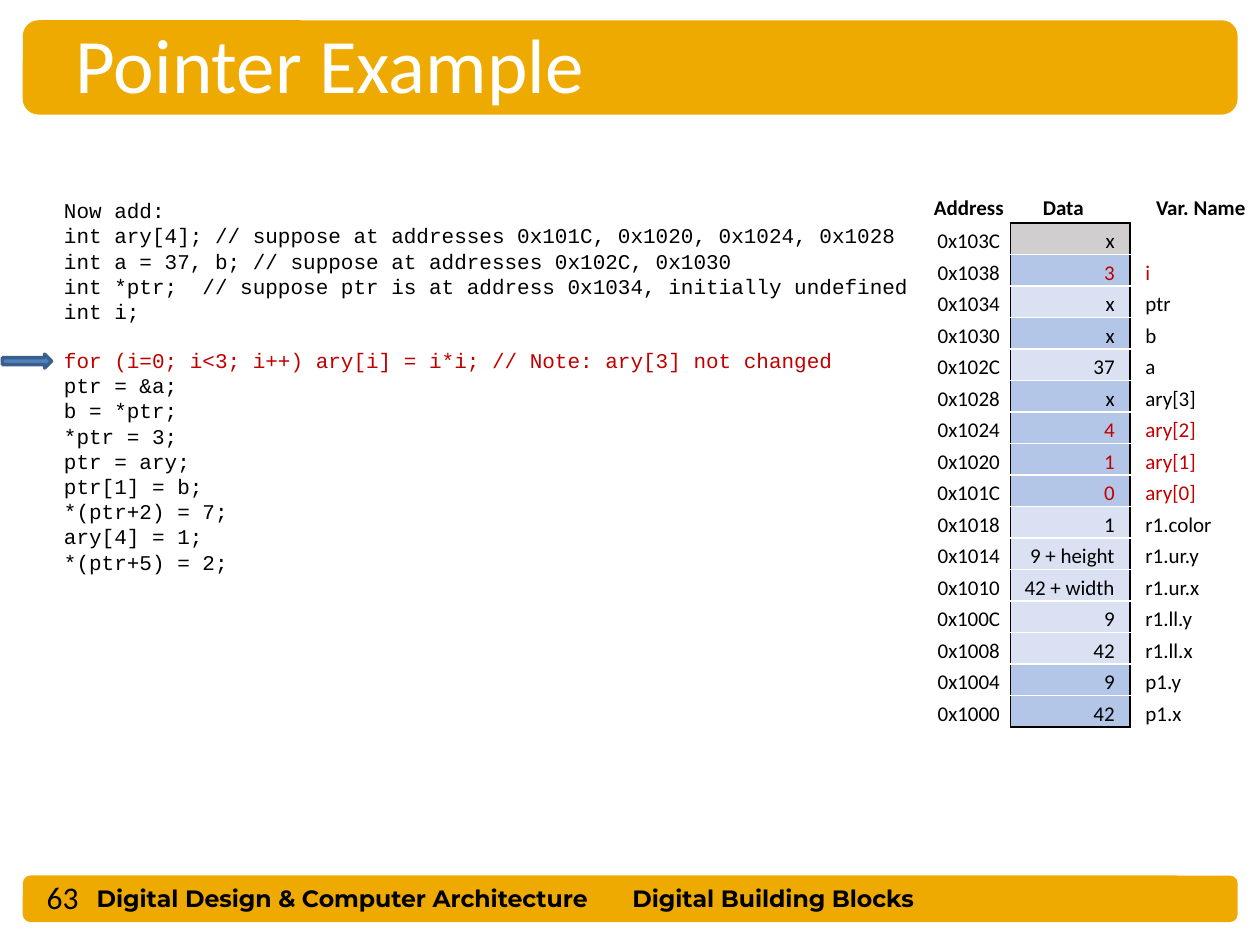
from lxml import etree
from pptx import Presentation
from pptx.dml.color import RGBColor
from pptx.enum.shapes import MSO_SHAPE
from pptx.enum.text import MSO_ANCHOR, PP_ALIGN
from pptx.oxml.ns import qn
from pptx.util import Cm, Pt

ROUNDED = MSO_SHAPE.ROUNDED_RECTANGLE
ARROW = MSO_SHAPE.RIGHT_ARROW
TOP, MIDDLE, BOTTOM = MSO_ANCHOR.TOP, MSO_ANCHOR.MIDDLE, MSO_ANCHOR.BOTTOM
LEFT, CENTER, RIGHT = PP_ALIGN.LEFT, PP_ALIGN.CENTER, PP_ALIGN.RIGHT

GOLD = RGBColor(0xEE, 0xAA, 0x00)
BLACK = RGBColor(0x00, 0x00, 0x00)
WHITE = RGBColor(0xFF, 0xFF, 0xFF)
RED = RGBColor(0xC0, 0x00, 0x00)
ARROW_FILL = RGBColor(0x4F, 0x81, 0xBD)
ARROW_LINE = RGBColor(0x3A, 0x5F, 0x8C)
GREY = RGBColor(0xD0, 0xCE, 0xCE)
BLUE = RGBColor(0xB4, 0xC6, 0xE7)
PALE = RGBColor(0xD9, 0xE1, 0xF2)

CODE_LINE_HEIGHT = 13.6
CODE = [
    ("Now add:", {}),
    ("int ary[4]; // suppose at addresses 0x101C, 0x1020, 0x1024, 0x1028", {}),
    ("int a = 37, b; // suppose at addresses 0x102C, 0x1030", {}),
    ("int *ptr;  // suppose ptr is at address 0x1034, initially undefined", {}),
    ("int i;", {}),
    ("for (i=0; i<3; i++) ary[i] = i*i; // Note: ary[3] not changed",
     {"color": RED, "space_before": CODE_LINE_HEIGHT}),
    ("ptr = &a;", {}),
    ("b = *ptr;", {}),
    ("*ptr = 3;", {}),
    ("ptr = ary;", {}),
    ("ptr[1] = b;", {}),
    ("*(ptr+2) = 7;", {}),
    ("ary[4] = 1;", {}),
    ("*(ptr+5) = 2;", {}),
]

TOP_ADDRESS = 0x103C
WORD_BYTES = 4
MEMORY = [
    ("x", "", GREY, BLACK),
    ("3", "i", BLUE, RED),
    ("x", "ptr", PALE, BLACK),
    ("x", "b", BLUE, BLACK),
    ("37", "a", PALE, BLACK),
    ("x", "ary[3]", BLUE, BLACK),
    ("4", "ary[2]", BLUE, RED),
    ("1", "ary[1]", BLUE, RED),
    ("0", "ary[0]", BLUE, RED),
    ("1", "r1.color", PALE, BLACK),
    ("9 + height", "r1.ur.y", PALE, BLACK),
    ("42 + width", "r1.ur.x", PALE, BLACK),
    ("9", "r1.ll.y", PALE, BLACK),
    ("42", "r1.ll.x", PALE, BLACK),
    ("9", "p1.y", BLUE, BLACK),
    ("42", "p1.x", BLUE, BLACK),
]
COLUMN_WIDTHS = [1.68, 2.13, 0.28, 0.28, 2.29]
DATA, SPACER = 1, 2


def write(paragraph, text, font="Calibri", size=12, color=BLACK, bold=False,
          align=LEFT, space_before=0):
    paragraph.alignment = align
    paragraph.space_before = Pt(space_before)
    run = paragraph.add_run()
    run.text = text
    run.font.name = font
    run.font.size = Pt(size)
    run.font.bold = bold
    run.font.color.rgb = color


def add_text(slide, box, lines, **style):
    shape = slide.shapes.add_textbox(*map(Cm, box))
    frame = shape.text_frame
    frame.word_wrap = True
    for index, (text, extra) in enumerate(lines):
        paragraph = frame.add_paragraph() if index else frame.paragraphs[0]
        write(paragraph, text, **{**style, **extra})


def add_filled_shape(slide, kind, box, fill):
    shape = slide.shapes.add_shape(kind, *map(Cm, box))
    shape.shadow.inherit = False
    shape.fill.solid()
    shape.fill.fore_color.rgb = fill
    shape.line.fill.background()
    return shape


def add_header(slide, box, text):
    left, top, width, height = box
    band = add_filled_shape(slide, ROUNDED, box, GOLD)
    title = slide.shapes.title
    title.element.addprevious(band.element)
    title.left, title.top = Cm(left + 0.81), Cm(top - 0.21)
    title.width, title.height = Cm(22.02), Cm(height + 0.23)
    title.text_frame.vertical_anchor = MIDDLE
    write(title.text_frame.paragraphs[0], text, size=44, color=WHITE)


def add_footer(slide, box, number, course, chapter):
    left, top, width, height = box
    add_filled_shape(slide, ROUNDED, box, GOLD)
    for offset, label_width, text in ((1.24, 11.28, course), (12.04, 7.47, chapter)):
        add_text(slide, (left + offset, top + 0.05, label_width, 0.84), [(text, {})],
                 font="Montserrat", size=13.5, bold=True)
    add_text(slide, (left + 0.23, top - 0.07, 2.08, 0.99), [(number, {})], size=18)


def add_code(slide, box):
    left, top, width, height = box
    add_text(slide, box, CODE, font="Courier New")
    arrow = add_filled_shape(slide, ARROW, (left - 0.99, top + 3.28, 0.99, 0.28), ARROW_FILL)
    arrow.line.color.rgb = ARROW_LINE
    arrow.line.width = Pt(2)


def set_borders(cell, sides):
    properties = cell._tc.get_or_add_tcPr()
    for side in "LRTB":
        line = etree.SubElement(properties, qn(f"a:ln{side}"), w=str(Pt(1)))
        if side in sides:
            fill = etree.SubElement(line, qn("a:solidFill"))
            etree.SubElement(fill, qn("a:srgbClr"), val=str(sides[side]))
        else:
            etree.SubElement(line, qn("a:noFill"))


def cell_borders(row, column, last_row):
    if row == 0:
        return {"B": BLACK} if column in (DATA, SPACER) else {}
    if column in (DATA, SPACER):
        return {"L" if column == DATA else "R": BLACK,
                "T": BLACK if row == 1 else WHITE,
                "B": BLACK if row == last_row else WHITE}
    return {DATA - 1: {"R": BLACK}, SPACER + 1: {"L": BLACK}}.get(column, {})


def format_cell(cell, text, fill, borders, anchor, **style):
    cell.margin_left = cell.margin_right = cell.margin_top = Cm(0.03)
    cell.margin_bottom = 0
    cell.vertical_anchor = anchor
    set_borders(cell, borders)
    if fill is None:
        cell.fill.background()
    else:
        cell.fill.solid()
        cell.fill.fore_color.rgb = fill
    paragraph = cell.text_frame.paragraphs[0]
    if text:
        write(paragraph, text, **style)
    else:
        etree.SubElement(paragraph._p, qn("a:endParaRPr"), sz="1200")


def add_memory_table(slide, box):
    last_row = len(MEMORY)
    table = slide.shapes.add_table(last_row + 1, len(COLUMN_WIDTHS), *map(Cm, box)).table
    table.first_row = table.horz_banding = False
    for column, width in zip(table.columns, COLUMN_WIDTHS):
        column.width = Cm(width)
    for row in table.rows:
        row.height = Cm(box[3] / (last_row + 1))

    for column, text in enumerate(("Address", "Data", "", "", "Var. Name")):
        format_cell(table.cell(0, column), text, None, cell_borders(0, column, last_row),
                    MIDDLE, bold=True, align=CENTER)
    for row, (data, variable, fill, color) in enumerate(MEMORY, start=1):
        address = f"0x{TOP_ADDRESS - WORD_BYTES * (row - 1):04X}"
        contents = [(address, None, BLACK, CENTER), (data, fill, color, RIGHT),
                    ("", fill, color, LEFT), ("", None, color, LEFT),
                    (variable, None, color, LEFT)]
        for column, (text, background, ink, align) in enumerate(contents):
            format_cell(table.cell(row, column), text, background,
                        cell_borders(row, column, last_row), BOTTOM,
                        color=ink, align=align)


def main():
    presentation = Presentation()
    presentation.slide_width, presentation.slide_height = Cm(25.4), Cm(19.05)
    slide = presentation.slides.add_slide(presentation.slide_layouts[5])
    add_header(slide, (0.46, 0.41, 24.49, 1.9), "Pointer Example")
    add_code(slide, (1.04, 3.86, 17.65, 7.95))
    add_memory_table(slide, (18.69, 3.86, sum(COLUMN_WIDTHS), 10.8))
    add_footer(slide, (0.46, 17.65, 24.49, 0.94), "63",
               "Digital Design & Computer Architecture", "Digital Building Blocks")
    presentation.save("out.pptx")


if __name__ == "__main__":
    main()
